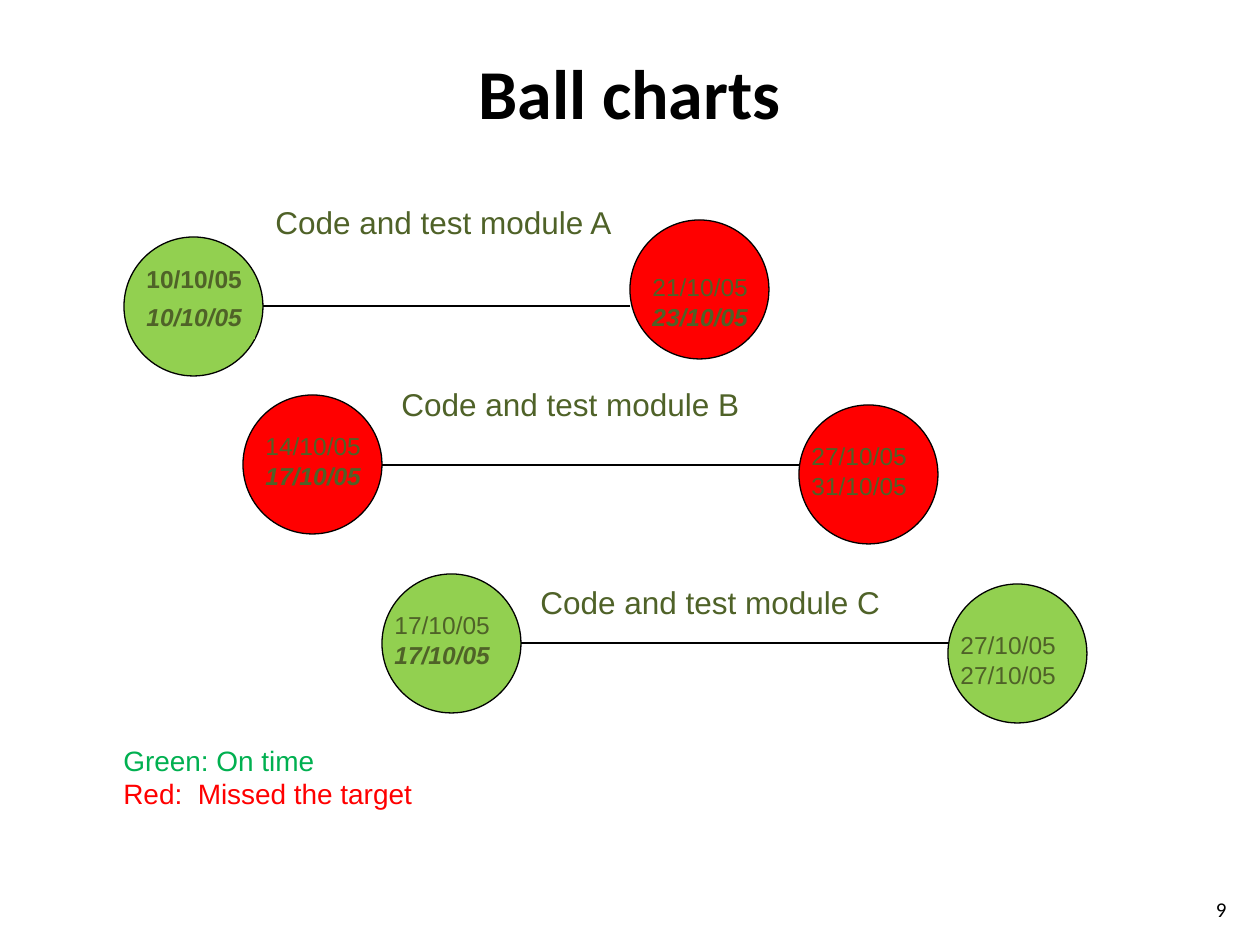
import pptx
import pptx.util
import pptx.dml.color
import pptx.enum.shapes
import pptx.enum.text
import lxml.etree

SCALE = 914400 / 126
GREEN, RED, OLIVE, BLACK = "92D050", "FF0000", "4F6228", "000000"


def rgb(color):
    return pptx.dml.color.RGBColor.from_string(color)


def px(*values):
    return [round(v * SCALE) for v in values]


prs = pptx.Presentation()
prs.slide_width, prs.slide_height = px(1260, 945)
s = prs.slides.add_slide(prs.slide_layouts[5])

title = s.shapes.title
title.left, title.top, title.width, title.height = px(94, 35, 1071, 112)
tf = title.text_frame
tf.text = "Ball charts"
tf.vertical_anchor = pptx.enum.text.MSO_ANCHOR.MIDDLE
p = tf.paragraphs[0]
p.alignment = pptx.enum.text.PP_ALIGN.CENTER
r = p.runs[0]
r.font.name = "Calibri"
r.font.size = pptx.util.Pt(40)
r.font.bold = True
r.font.color.rgb = rgb(BLACK)

balls = [
    (124, 237, GREEN), (948, 584, GREEN), (382, 574, GREEN),
    (799, 405, RED), (243, 395, RED), (630, 220, RED),
]
for x, y, color in balls:
    sp = s.shapes.add_shape(pptx.enum.shapes.MSO_SHAPE.OVAL, *px(x, y, 139, 139))
    sp.shadow.inherit = False
    sp.fill.solid()
    sp.fill.fore_color.rgb = rgb(color)
    sp.line.color.rgb = rgb(BLACK)
    sp.line.width = pptx.util.Pt(0.75)

for x1, x2, y in [(263, 630, 306), (382, 799, 465), (521, 948, 643)]:
    line = s.shapes.add_connector(pptx.enum.shapes.MSO_CONNECTOR.STRAIGHT, *px(x1, y, x2, y))
    line.line.color.rgb = rgb(BLACK)
    line.line.width = pptx.util.Pt(0.75)
    lxml.etree.SubElement(line._element.spPr, pptx.oxml.ns.qn("a:effectLst"))

PLAIN, BOLD, BOLD_ITALIC = (False, False), (True, False), (True, True)
texts = [
    (263, 197, 368, 50, 18, False, [("Code and test module A", OLIVE, PLAIN)]),
    (389, 379, 368, 50, 18, False, [("Code and test module B", OLIVE, PLAIN)]),
    (528, 577, 368, 50, 18, False, [("Code and test module C", OLIVE, PLAIN)]),
    (134, 258, 121, 43, 14, False, [("10/10/05", OLIVE, BOLD)]),
    (134, 296, 121, 43, 14, False, [("10/10/05", OLIVE, BOLD_ITALIC)]),
    (640, 266, 121, 72, 14, False, [("21/10/05", OLIVE, PLAIN), ("23/10/05", OLIVE, BOLD_ITALIC)]),
    (253, 425, 121, 72, 14, False, [("14/10/05", OLIVE, PLAIN), ("17/10/05", OLIVE, BOLD_ITALIC)]),
    (799, 435, 159, 72, 14, True, [("27/10/05", OLIVE, PLAIN), ("31/10/05", OLIVE, PLAIN)]),
    (382, 604, 159, 72, 14, True, [("17/10/05", OLIVE, PLAIN), ("17/10/05", OLIVE, BOLD_ITALIC)]),
    (948, 624, 159, 72, 14, True, [("27/10/05", OLIVE, PLAIN), ("27/10/05", OLIVE, PLAIN)]),
    (111, 737, 318, 81, 16, False, [("Green: On time", "00B050", PLAIN), ("Red:  Missed the target", RED, PLAIN)]),
]
for x, y, w, h, size, wrap, rows in texts:
    sp = s.shapes.add_textbox(*px(x, y, w, h))
    tf = sp.text_frame
    tf.word_wrap = wrap
    tf.auto_size = pptx.enum.text.MSO_AUTO_SIZE.SHAPE_TO_FIT_TEXT
    tf.text = "\n".join(text for text, color, style in rows)
    for p, (text, color, (bold, italic)) in zip(tf.paragraphs, rows):
        r = p.runs[0]
        r.font.name = "Arial"
        r.font.size = pptx.util.Pt(size)
        r.font.bold = bold
        r.font.italic = italic
        r.font.color.rgb = rgb(color)
    if rows[0][2] == BOLD_ITALIC:
        sp.fill.solid()
        sp.fill.fore_color.rgb = rgb(GREEN)

number = s.shapes.add_textbox(*px(1176, 884, 63, 50))
tf = number.text_frame
tf.word_wrap = True
tf.vertical_anchor = pptx.enum.text.MSO_ANCHOR.MIDDLE
tf.text = "9"
p = tf.paragraphs[0]
p.alignment = pptx.enum.text.PP_ALIGN.RIGHT
r = p.runs[0]
r.font.name = "Calibri"
r.font.size = pptx.util.Pt(12)
r.font.color.rgb = rgb(BLACK)

prs.save("out.pptx")
